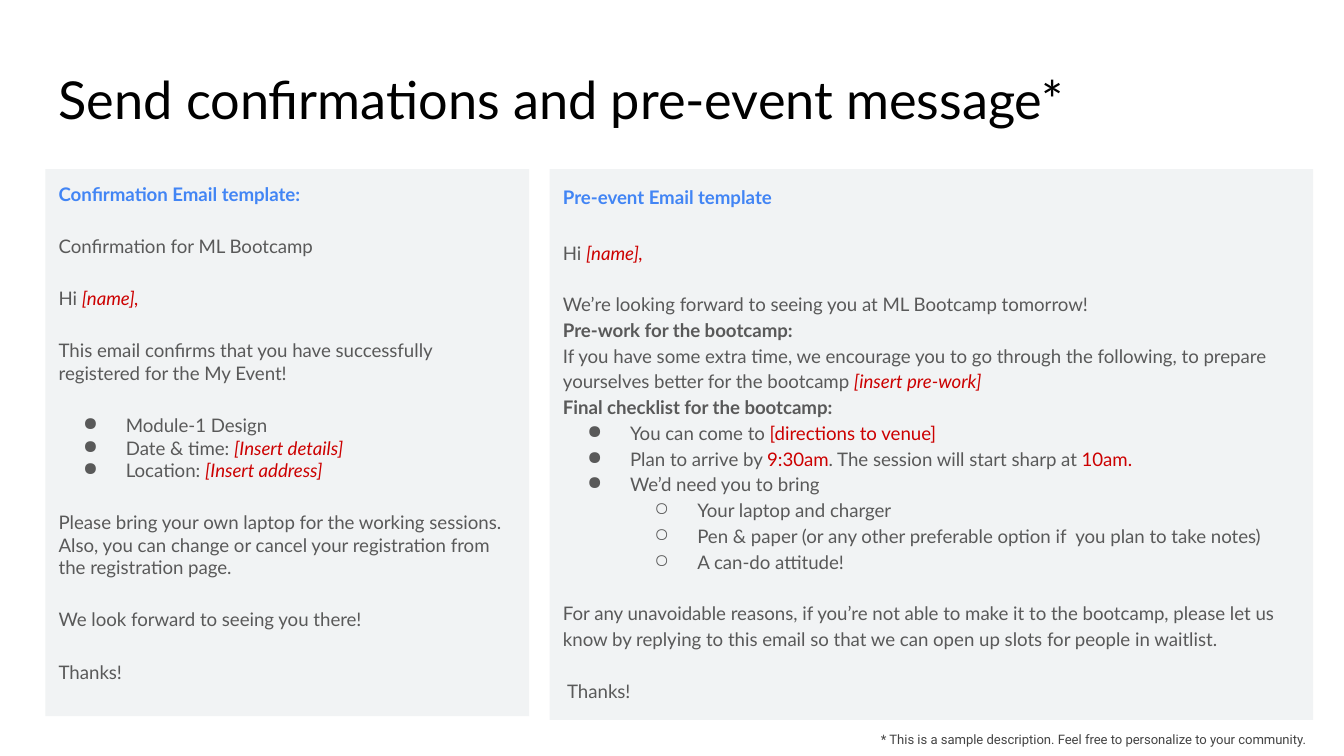
import pptx
import pptx.dml.color
import pptx.enum.shapes
import pptx.enum.text
import pptx.util
from lxml import etree
from pptx.oxml.ns import qn

Cm = pptx.util.Cm
Pt = pptx.util.Pt
RGBColor = pptx.dml.color.RGBColor

BLACK = RGBColor(0x00, 0x00, 0x00)
BLUE = RGBColor(0x42, 0x85, 0xF4)
GRAY = RGBColor(0x59, 0x59, 0x59)
DARK_GRAY = RGBColor(0x43, 0x43, 0x43)
RED = RGBColor(0xCC, 0x00, 0x00)
PANEL = RGBColor(0xF1, 0xF3, 0xF4)

BODY = {"name": "Lato", "size": Pt(10), "color": GRAY}
HEADING = BODY | {"color": BLUE, "bold": True}
STRONG = BODY | {"bold": True}
FIXED = BODY | {"color": RED}
BLANK_TO_FILL = FIXED | {"italic": True}
TITLE = {"name": "Lato", "size": Pt(28), "color": BLACK}
FOOTNOTE = {"name": "Roboto", "size": Pt(7), "color": DARK_GRAY}

LEVEL_INDENT = 1.27
BULLET_HANG = 0.81
BULLETS = "●○"
INSET = 0.25
GAP = {"space_before": Pt(16)}
LINE_GAP = {"space_before": Pt(13.8)}
LOOSE = {"line_spacing": 1.15}


def item(*spans, bullet_level=None, indent=0, **layout):
    """Describe a paragraph; a span is plain body text or a (text, style) pair."""
    pairs = [(span, BODY) if isinstance(span, str) else span for span in spans]
    return pairs, bullet_level, indent, layout


class Composer:
    """Holds the body style and the current slide."""

    def __init__(self, page):
        self.page = page

    def style(self, font, values):
        for key, value in values.items():
            if key == "color":
                font.color.rgb = value
            else:
                setattr(font, key, value)

    def bullet(self, para, level):
        para.level = level
        properties = para._p.get_or_add_pPr()
        properties.set("marL", str(Cm(LEVEL_INDENT * (level + 1))))
        properties.set("indent", str(-Cm(BULLET_HANG)))
        color = etree.SubElement(properties, qn("a:buClr"))
        etree.SubElement(color, qn("a:srgbClr"), val=str(GRAY))
        etree.SubElement(properties, qn("a:buChar"), char=BULLETS[level])

    def fill_text(self, shape, items, insets=(INSET,) * 4, **common):
        frame = shape.text_frame
        left, top, right, bottom = map(Cm, insets)
        settings = {
            "word_wrap": True,
            "vertical_anchor": pptx.enum.text.MSO_ANCHOR.TOP,
            "margin_left": left,
            "margin_top": top,
            "margin_right": right,
            "margin_bottom": bottom,
        }
        for key, value in settings.items():
            setattr(frame, key, value)
        for index, (spans, level, indent, layout) in enumerate(items):
            para = frame.add_paragraph() if index else frame.paragraphs[0]
            if level is not None:
                self.bullet(para, level)
            elif indent:
                para._p.get_or_add_pPr().set("marL", str(Cm(indent)))
            defaults = {"alignment": pptx.enum.text.PP_ALIGN.LEFT}
            for key, value in (defaults | common | layout).items():
                setattr(para, key, value)
            for text, values in spans:
                span = para.add_run()
                span.text = text
                self.style(span.font, values)

    def label(self, place, items, **options):
        box = self.page.shapes.add_textbox(*map(Cm, place))
        self.fill_text(box, items, **options)

    def panel(self, place, items, **options):
        box = self.page.shapes.add_shape(
            pptx.enum.shapes.MSO_SHAPE.RECTANGLE, *map(Cm, place))
        box.shadow.inherit = False
        box.fill.solid()
        box.fill.fore_color.rgb = PANEL
        box.line.fill.background()
        self.fill_text(box, items, **options)


CONFIRMATION = [
    item(("Confirmation Email template:", HEADING)),
    item("Confirmation for ML Bootcamp", **GAP),
    item("Hi ", ("[name],", BLANK_TO_FILL), **GAP),
    item("This email confirms that you have successfully registered for the My Event!", **GAP),
    item("Module-1 Design", bullet_level=0, **GAP),
    item("Date & time: ", ("[Insert details]", BLANK_TO_FILL), bullet_level=0),
    item("Location: ", ("[Insert address]", BLANK_TO_FILL), bullet_level=0),
    item("Please bring your own laptop for the working sessions. Also, you can change "
         "or cancel your registration from the registration page.", **GAP),
    item("We look forward to seeing you there!", **GAP),
    item("Thanks!", **GAP),
]

PRE_EVENT = [
    item(("Pre-event Email template", HEADING)),
    item("Hi ", ("[name],", BLANK_TO_FILL), **GAP),
    item("We’re looking forward to seeing you at ML Bootcamp tomorrow!", **LINE_GAP),
    item(("Pre-work for the bootcamp:", STRONG)),
    item("If you have some extra time, we encourage you to go through the following, "
         "to prepare yourselves better for the bootcamp ",
         ("[insert pre-work]", BLANK_TO_FILL)),
    item(("Final checklist for the bootcamp:", STRONG)),
    item("You can come to ", ("[directions to venue]", FIXED), bullet_level=0),
    item("Plan to arrive by ", ("9:30am", FIXED),
         ". The session will start sharp at ", ("10am.", FIXED), bullet_level=0),
    item("We’d need you to bring", bullet_level=0),
    item("Your laptop and charger", bullet_level=1),
    item("Pen & paper (or any other preferable option if  you plan to take notes)",
         bullet_level=1),
    item("A can-do attitude!", bullet_level=1),
    item("For any unavoidable reasons, if you’re not able to make it to the bootcamp, "
         "please let us know by replying to this email so that we can open up slots "
         "for people in waitlist.", **LINE_GAP),
    item("Thanks!", indent=0.08, **LINE_GAP),
]


def main():
    deck = pptx.Presentation()
    deck.slide_width, deck.slide_height = Cm(25.4), Cm(14.29)
    composer = Composer(deck.slides.add_slide(deck.slide_layouts[6]))

    composer.label((0.86, 1.02, 23.67, 1.6),
                   [item(("Send confirmations and pre-event message*", TITLE))])
    composer.panel((0.86, 3.2, 9.14, 10.34), CONFIRMATION)
    composer.panel((10.39, 3.2, 14.43, 10.41), PRE_EVENT, **LOOSE)
    composer.label(
        (15.85, 13.79, 9.47, 0.53),
        [item(("* This is a sample description. Feel free to personalize to your "
               "community.", FOOTNOTE))],
        insets=(0, 0, 0.64, 0), alignment=pptx.enum.text.PP_ALIGN.RIGHT, **LOOSE)

    deck.save("out.pptx")


if __name__ == "__main__":
    main()
